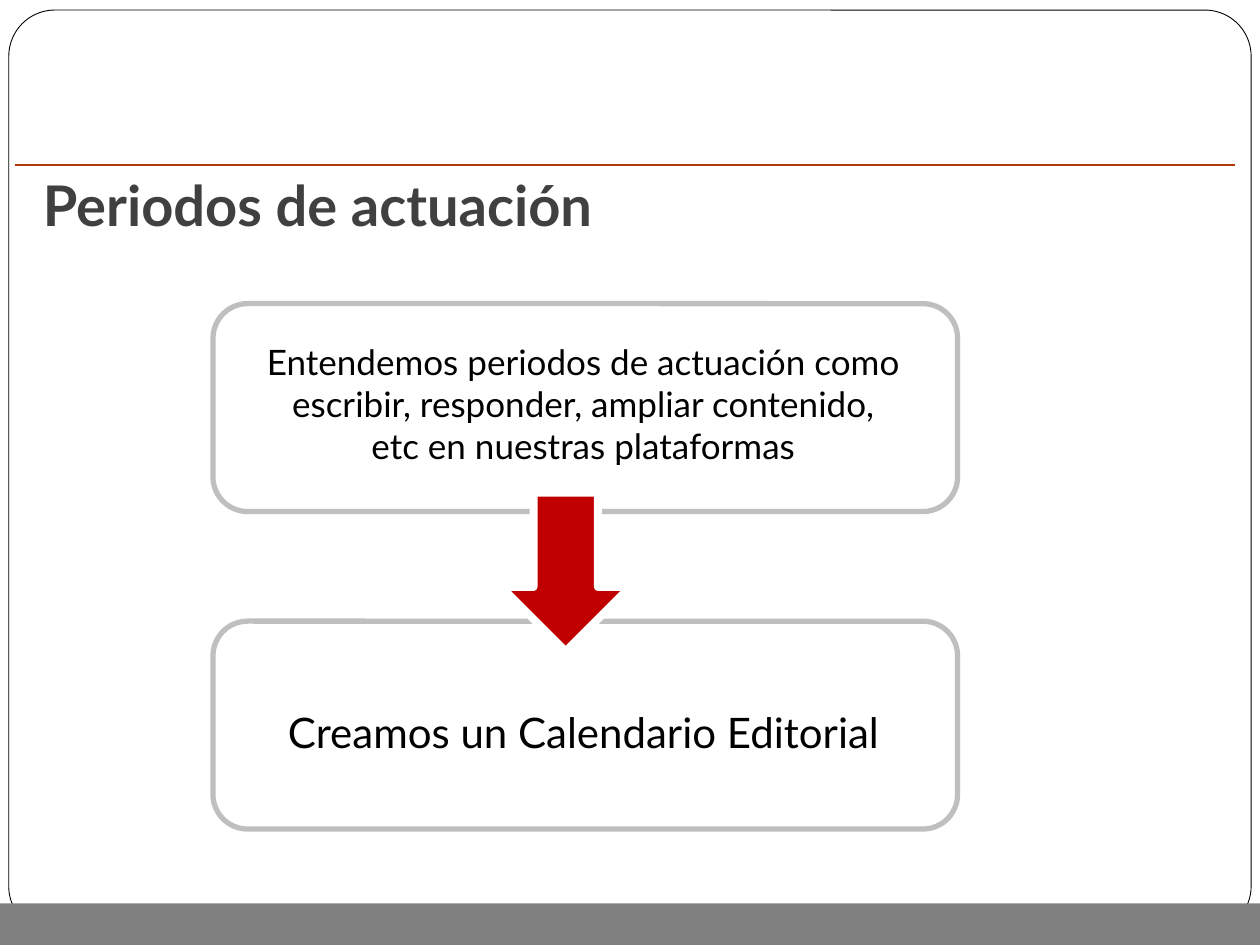
from pptx import Presentation
from pptx.dml.color import RGBColor
from pptx.enum import shapes, text
from pptx.oxml.ns import qn
from pptx.util import Inches, Pt
from lxml import etree

FONT = "Lato"
SHAPE = shapes.MSO_SHAPE


def rgb(value):
    return RGBColor.from_string(value)


def add_shape(s, kind, box, fill, line=None, width=0):
    sp = s.shapes.add_shape(kind, *map(Inches, box))
    sp.shadow.inherit = False
    sp.fill.solid()
    sp.fill.fore_color.rgb = rgb(fill)
    if line:
        sp.line.color.rgb = rgb(line)
        sp.line.width = Pt(width)
    else:
        sp.line.fill.background()
    return sp


def format_text(sp, words, size, color, align, bold=False):
    tf = sp.text_frame
    tf.text = words
    tf.auto_size = text.MSO_AUTO_SIZE.NONE
    tf.vertical_anchor = text.MSO_ANCHOR.TOP
    p = tf.paragraphs[0]
    p.alignment = align
    font = p.runs[0].font
    font.name, font.size, font.bold = FONT, Pt(size), bold
    font.color.rgb = rgb(color)


def set_title(s, words):
    sp = s.shapes.title
    sp.left, sp.top, sp.width, sp.height = map(Inches, (0.24, 1.3, 4.99, 0.64))
    format_text(sp, words, 32, "404040", text.PP_ALIGN.LEFT, bold=True)
    sp.text_frame.word_wrap = False


def add_step(s, top, text_top, text_height, words, size):
    """Add an outlined box with centred text over it."""
    add_shape(s, SHAPE.ROUNDED_RECTANGLE, (1.69, top, 5.91, 1.65), "FFFFFF", "BFBFBF", 3)
    tb = s.shapes.add_textbox(*map(Inches, (2.01, text_top, 5.24, text_height)))
    tb.text_frame.word_wrap = True
    format_text(tb, words, size, "000000", text.PP_ALIGN.CENTER)
    tb.text_frame.paragraphs[0].space_after = Pt(6)


def add_rule(s, left, right, y, color, width):
    ln = s.shapes.add_connector(shapes.MSO_CONNECTOR.STRAIGHT,
                                Inches(left), Inches(y), Inches(right), Inches(y))
    ln.line.color.rgb = rgb(color)
    ln.line.width = Pt(width)
    etree.SubElement(ln._element.spPr, qn("a:effectLst"))


def main():
    prs = Presentation()
    prs.slide_width, prs.slide_height = Inches(10), Inches(7.5)
    s = prs.slides.add_slide(prs.slide_layouts[5])

    frame = add_shape(s, SHAPE.ROUNDED_RECTANGLE, (0.07, 0.08, 9.86, 7.32),
                      "FFFFFF", "000000", 0.5)
    frame.adjustments[0] = 0.05
    # Keep the frame behind the title placeholder.
    s.shapes.title._element.addprevious(frame._element)
    add_shape(s, SHAPE.RECTANGLE, (0, 7.17, 10, 0.33), "808080")

    set_title(s, "Periodos de actuación")
    add_step(s, 2.41, 2.65, 1.11,
             "Entendemos periodos de actuación como escribir, responder, "
             "ampliar contenido, etc en nuestras plataformas", 20)
    add_step(s, 4.93, 5.56, 0.51, "Creamos un Calendario Editorial", 24)
    add_shape(s, SHAPE.DOWN_ARROW, (3.98, 3.91, 1.02, 1.26), "C00000", "FFFFFF", 4.5)
    add_rule(s, 0.12, 9.8, 1.31, "B1360B", 0.75)

    prs.save("out.pptx")


if __name__ == "__main__":
    main()
